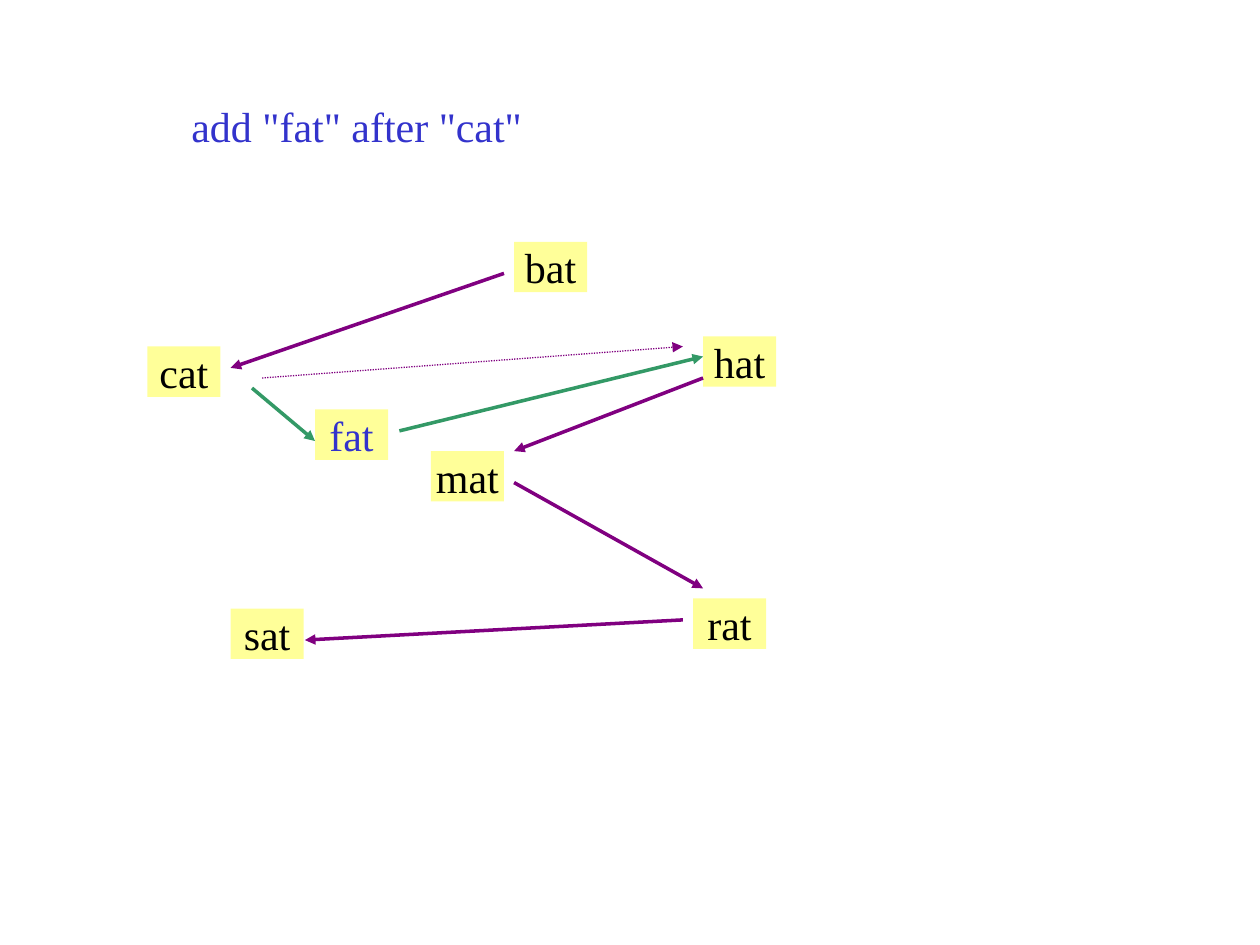
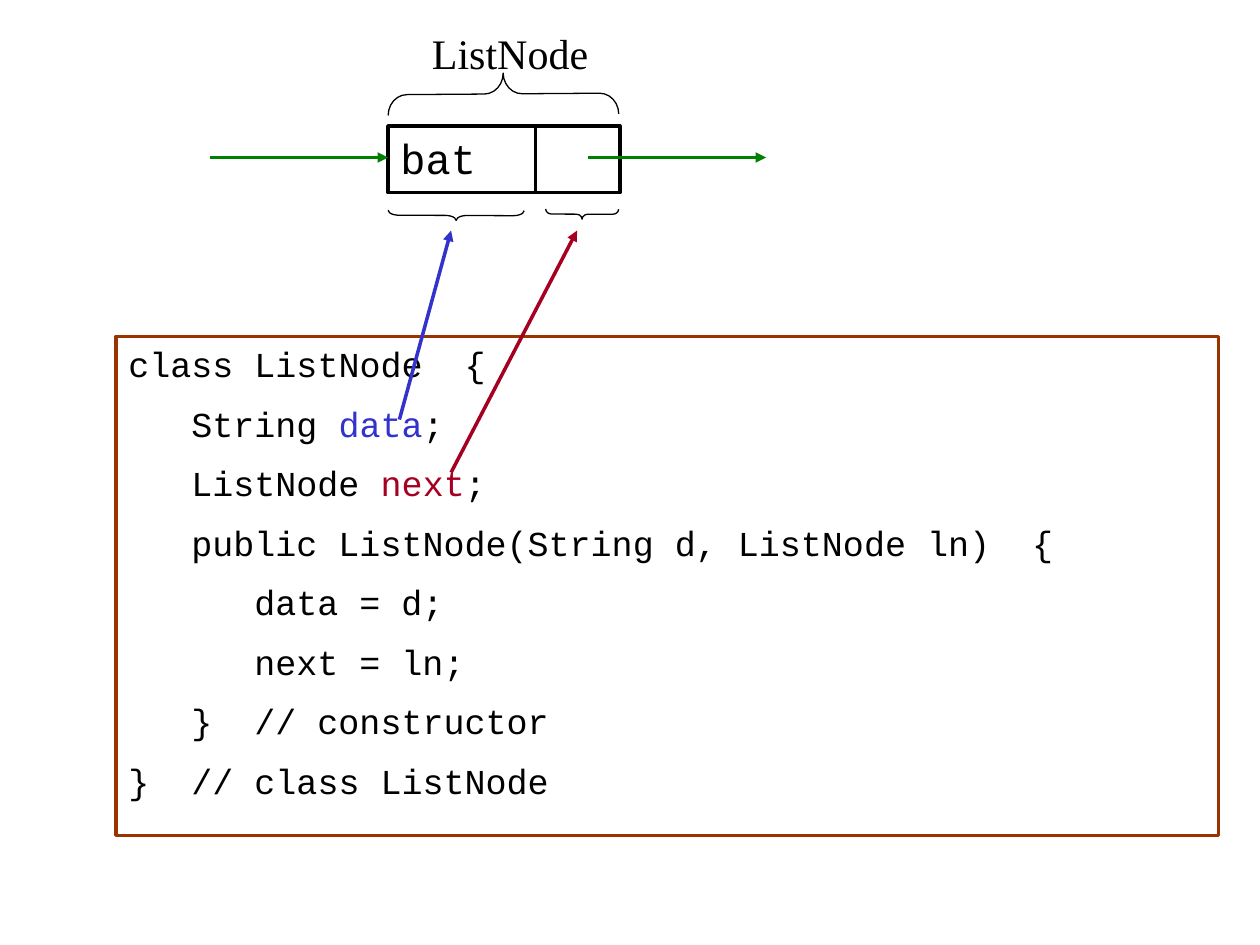
import pptx
import pptx.dml.color
import pptx.enum.dml
import pptx.enum.shapes
import pptx.enum.text
import pptx.oxml.ns
import pptx.util
from lxml import etree

Inches, Pt = pptx.util.Inches, pptx.util.Pt
RGBColor = pptx.dml.color.RGBColor
Shape = pptx.enum.shapes.MSO_SHAPE
qn = pptx.oxml.ns.qn

BLACK = RGBColor(0x00, 0x00, 0x00)
YELLOW = RGBColor(0xFF, 0xFF, 0x99)
BLUE = RGBColor(0x33, 0x33, 0xCC)
PURPLE = RGBColor(0x80, 0x00, 0x80)
SEA_GREEN = RGBColor(0x33, 0x99, 0x66)
GREEN = RGBColor(0x00, 0x80, 0x00)
CRIMSON = RGBColor(0xA5, 0x00, 0x21)
BROWN = RGBColor(0x99, 0x33, 0x00)

SERIF = {"name": "Times New Roman", "size": Pt(24)}
MONO = {"name": "Courier New", "size": Pt(24)}
CODE = {"name": "Courier New", "size": Pt(20)}

TOP_LEFT = {"word_wrap": True,
            "vertical_anchor": pptx.enum.text.MSO_ANCHOR.TOP,
            "auto_size": pptx.enum.text.MSO_AUTO_SIZE.SHAPE_TO_FIT_TEXT}
TIGHT_MIDDLE = {**TOP_LEFT,
                "vertical_anchor": pptx.enum.text.MSO_ANCHOR.MIDDLE,
                "margin_left": 0, "margin_right": 0,
                "margin_top": 0, "margin_bottom": 0}

LEFT = pptx.enum.text.PP_ALIGN.LEFT
CENTER = pptx.enum.text.PP_ALIGN.CENTER
CODE_INDENT = 0.5

WORD_SIZE = (0.58, 0.4)
WORDS = [("cat", 1.17, 2.75, BLACK), ("mat", 3.42, 3.58, BLACK),
         ("sat", 1.83, 4.83, BLACK), ("bat", 4.08, 1.92, BLACK),
         ("rat", 5.5, 4.75, BLACK), ("hat", 5.58, 2.67, BLACK),
         ("fat", 2.5, 3.25, BLUE)]
KEPT_LINKS = [((4, 2.17), (1.83, 2.92)), ((5.58, 3), (4.08, 3.58)),
              ((4.08, 3.83), (5.58, 4.67)), ((5.42, 4.92), (2.42, 5.08))]
NEW_LINKS = [((2, 3.08), (2.5, 3.5)), ((3.17, 3.42), (5.58, 2.83))]
REMOVED_LINK = ((2.08, 3), (5.42, 2.75))

# Each line: indent level, then its coloured pieces
CLASS_LINES = [
    (0, [("class ListNode  {", BLACK)]),
    (1, [("String ", BLACK), ("data", BLUE), (";", BLACK)]),
    (1, [("ListNode ", BLACK), ("next", CRIMSON), (";", BLACK)]),
    (1, [("public ListNode(String d, ListNode ln)  {", BLACK)]),
    (2, [("data = d;", BLACK)]),
    (2, [("next = ln;", BLACK)]),
    (1, [("}  // constructor", BLACK)]),
    (0, [("}  // class ListNode", BLACK)]),
]


def apply_format(target, values):
    for attribute, value in values.items():
        setattr(target, attribute, value)


def space_before_half_line(paragraph):
    spacing = etree.SubElement(paragraph._p.get_or_add_pPr(), qn("a:spcBef"))
    etree.SubElement(spacing, qn("a:spcPct")).set("val", "50000")


def write_lines(shape, lines, font, frame_format=TOP_LEFT, align=LEFT):
    """Fill a shape with lines of (indent level, [(text, colour), ...])."""
    frame = shape.text_frame
    apply_format(frame, frame_format)
    for number, (level, pieces) in enumerate(lines):
        paragraph = frame.add_paragraph() if number else frame.paragraphs[0]
        paragraph.alignment = align
        space_before_half_line(paragraph)
        if level:
            indent = Inches(CODE_INDENT * level)
            paragraph._p.get_or_add_pPr().set("marL", str(indent))
        for text, color in pieces:
            run = paragraph.add_run()
            run.text = text
            apply_format(run.font, font)
            run.font.color.rgb = color


def add_box(slide, left, top, width, height, fill=None, line=None,
            width_pt=2, kind=Shape.RECTANGLE):
    box = slide.shapes.add_shape(kind, Inches(left), Inches(top),
                                 Inches(width), Inches(height))
    box.shadow.inherit = False
    if fill is None:
        box.fill.background()
    else:
        box.fill.solid()
        box.fill.fore_color.rgb = fill
    if line is None:
        box.line.fill.background()
    else:
        box.line.color.rgb = line
        box.line.width = Pt(width_pt)
    return box


def add_word(slide, word, left, top, color):
    box = add_box(slide, left, top, *WORD_SIZE, fill=YELLOW)
    write_lines(box, [(0, [(word, color)])], SERIF, TIGHT_MIDDLE, CENTER)


def add_label(slide, text, left, top, width, color):
    label = slide.shapes.add_textbox(Inches(left), Inches(top),
                                     Inches(width), Inches(0.5))
    write_lines(label, [(0, [(text, color)])], SERIF)


def add_brace(slide, left, top, depth, span, rotation, curl):
    """Place a brace by its unrotated frame; curl rounds its ends."""
    brace = add_box(slide, left, top, depth, span, line=BLACK,
                    width_pt=0.75, kind=Shape.RIGHT_BRACE)
    brace.rotation = rotation
    brace.adjustments[0] = curl
    brace.adjustments[1] = 0.5


def add_arrow(slide, start, end, color, width_pt=2, dash=None):
    arrow = slide.shapes.add_connector(
        pptx.enum.shapes.MSO_CONNECTOR.STRAIGHT,
        *(Inches(value) for value in (*start, *end)))
    arrow.line.color.rgb = color
    arrow.line.width = Pt(width_pt)
    if dash is not None:
        arrow.line.dash_style = dash
    etree.SubElement(arrow.line._get_or_add_ln(),
                     qn("a:tailEnd")).set("type", "triangle")
    etree.SubElement(arrow._element.spPr, qn("a:effectLst"))


def build_insertion_slide(slide):
    for word in WORDS:
        add_word(slide, *word)
    for start, end in KEPT_LINKS:
        add_arrow(slide, start, end, PURPLE)
    for start, end in NEW_LINKS:
        add_arrow(slide, start, end, SEA_GREEN)
    add_label(slide, 'add "fat" after "cat"', 1.42, 0.75, 6.25, BLUE)
    add_arrow(slide, *REMOVED_LINK, PURPLE, 0.75,
              pptx.enum.dml.MSO_LINE.ROUND_DOT)


def build_node_slide(slide):
    class_box = add_box(slide, 0.92, 2.67, 8.75, 3.96, line=BROWN)
    write_lines(class_box, CLASS_LINES, CODE)

    data_cell = add_box(slide, 3.08, 1, 1.17, 0.53, line=BLACK)
    write_lines(data_cell, [(0, [("bat", BLACK)])], MONO)
    add_box(slide, 4.25, 1, 0.67, 0.53, line=BLACK)
    for start in (1.67, 4.67):
        add_arrow(slide, (start, 1.25), (start + 1.41, 1.25), GREEN)

    add_brace(slide, 3.58, 1.17, 0.08, 1.08, 90.2, 1.083)
    add_brace(slide, 4.58, 1.41, 0.08, 0.58, 90.2, 0.583)
    add_brace(slide, 3.83, -0.17, 0.33, 1.83, 269.6, 0.458)
    add_arrow(slide, (3.17, 3.33), (3.58, 1.83), BLUE)
    add_arrow(slide, (3.58, 3.75), (4.58, 1.83), CRIMSON)
    add_label(slide, "ListNode", 3.33, 0.17, 1.67, BLACK)


def main():
    deck = pptx.Presentation()
    deck.slide_width, deck.slide_height = Inches(10), Inches(7.5)
    blank = deck.slide_layouts[6]
    for build in (build_insertion_slide, build_node_slide):
        build(deck.slides.add_slide(blank))
    deck.save("out.pptx")


if __name__ == "__main__":
    main()
